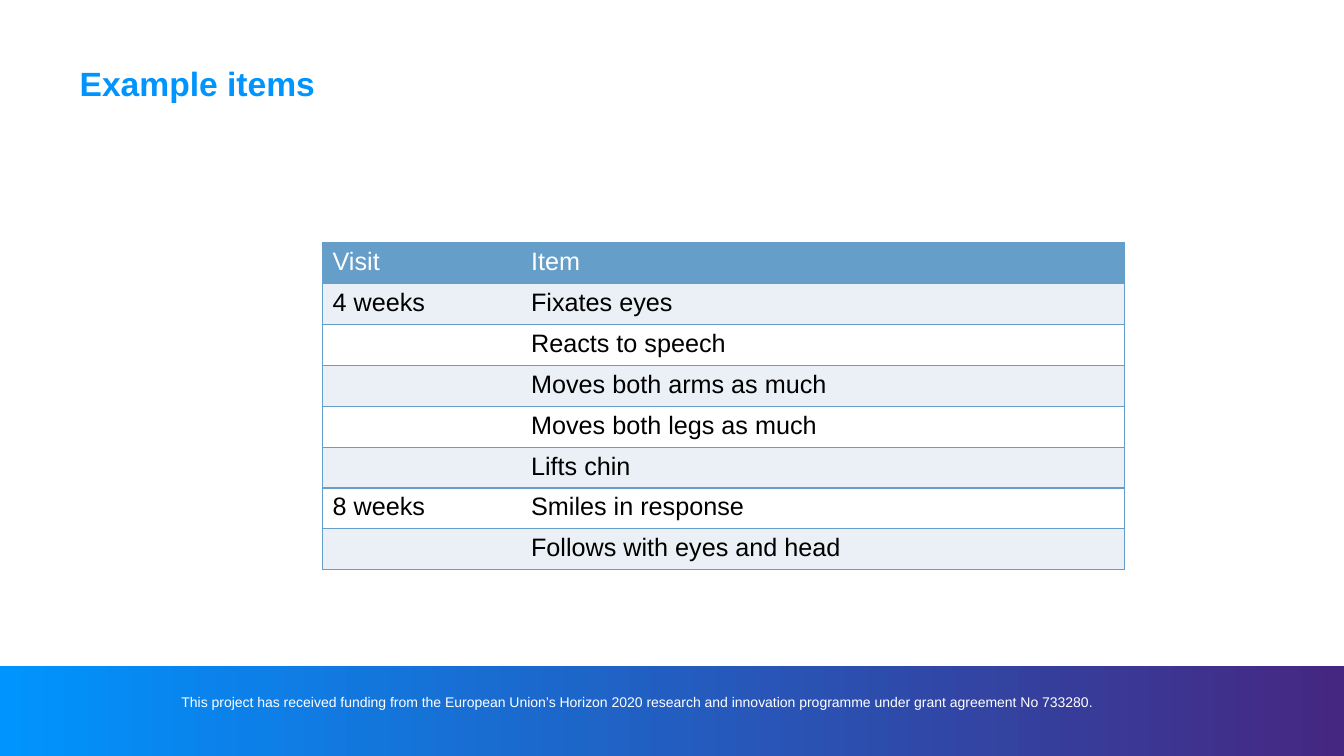
from pptx import Presentation
from pptx.dml.color import RGBColor
from pptx.enum.shapes import MSO_SHAPE as Shape
from pptx.oxml import parse_xml
from pptx.oxml.ns import nsdecls
from pptx.util import Pt

BLUE = RGBColor(0x00, 0x94, 0xFE)
PURPLE = RGBColor(0x45, 0x27, 0x82)
STEEL = RGBColor(0x64, 0x9E, 0xC9)
PALE = RGBColor(0xEA, 0xF0, 0xF5)
WHITE = RGBColor(0xFF, 0xFF, 0xFF)
BLACK = RGBColor(0x00, 0x00, 0x00)

FONT = "Arial"
PAGE_WIDTH, PAGE_HEIGHT = 960, 540
FOOTER_HEIGHT = 64

FUNDING = ("This project has received funding from the European Union’s Horizon 2020 "
           "research and innovation programme under grant agreement No 733280.")
ROWS = [
    ("Visit", "Item"),
    ("4 weeks", "Fixates eyes"),
    ("", "Reacts to speech"),
    ("", "Moves both arms as much"),
    ("", "Moves both legs as much"),
    ("", "Lifts chin"),
    ("8 weeks", "Smiles in response"),
    ("", "Follows with eyes and head"),
]


def add_span(para, text, size, color, bold=False):
    span = para.add_run()
    span.text = text
    span.font.name = FONT
    span.font.size = Pt(size)
    span.font.bold = bold
    span.font.color.rgb = color


def add_text(page, left, top, width, height, text, size, color, bold=False, inset_top=0):
    box = page.shapes.add_textbox(Pt(left), Pt(top), Pt(width), Pt(height))
    frame = box.text_frame
    frame.word_wrap = True
    frame.margin_left = frame.margin_right = frame.margin_bottom = 0
    frame.margin_top = Pt(inset_top)
    add_span(frame.paragraphs[0], text, size, color, bold)


def add_footer(page, left, top, width, height):
    # Gradient band
    band = page.shapes.add_shape(Shape.FLOWCHART_PROCESS, Pt(left), Pt(top), Pt(width), Pt(height))
    band.shadow.inherit = False
    band.line.fill.background()
    band.fill.gradient()
    band.fill.gradient_angle = 0
    for stop, color in zip(band.fill.gradient_stops, (BLUE, PURPLE)):
        stop.color.rgb = color
    # Funding statement
    add_text(page, left + 129.6, top + 19.4, 777.6, 12.2, FUNDING, 10, WHITE)


def add_borders(cell, sides):
    properties = cell._tc.get_or_add_tcPr()
    for side in ("L", "R", "T", "B"):
        fill = f'<a:solidFill><a:srgbClr val="{STEEL}"/></a:solidFill>' if side in sides else "<a:noFill/>"
        properties.append(parse_xml(f'<a:ln{side} {nsdecls("a")} w="12700">{fill}</a:ln{side}>'))


def add_items_table(page, left, top, width, height):
    visit_width = 141.8
    table = page.shapes.add_table(len(ROWS), 2, Pt(left), Pt(top), Pt(width), Pt(height)).table
    table.columns[0].width = Pt(visit_width)
    table.columns[1].width = Pt(width - visit_width)
    for index, texts in enumerate(ROWS):
        table.rows[index].height = Pt(height / len(ROWS))
        fill = STEEL if index == 0 else PALE if index % 2 else WHITE
        for column, text in enumerate(texts):
            cell = table.cell(index, column)
            add_borders(cell, "RTB" if column else "LTB")
            cell.fill.solid()
            cell.fill.fore_color.rgb = fill
            para = cell.text_frame.paragraphs[0]
            para.font.size = Pt(18)
            if text:
                add_span(para, text, 18, BLACK if index else WHITE)


def build_page(deck):
    page = deck.slides.add_slide(deck.slide_layouts[6])
    add_footer(page, 0, PAGE_HEIGHT - FOOTER_HEIGHT, PAGE_WIDTH, FOOTER_HEIGHT)
    add_text(page, 56.9, 42.5, 707, 70.6, "Example items", 24, BLUE, bold=True, inset_top=2.5)
    add_items_table(page, 230.4, 173.4, 572.8, 233.6)


def main():
    deck = Presentation()
    deck.slide_width, deck.slide_height = Pt(PAGE_WIDTH), Pt(PAGE_HEIGHT)
    build_page(deck)
    deck.save("out.pptx")


if __name__ == "__main__":
    main()
